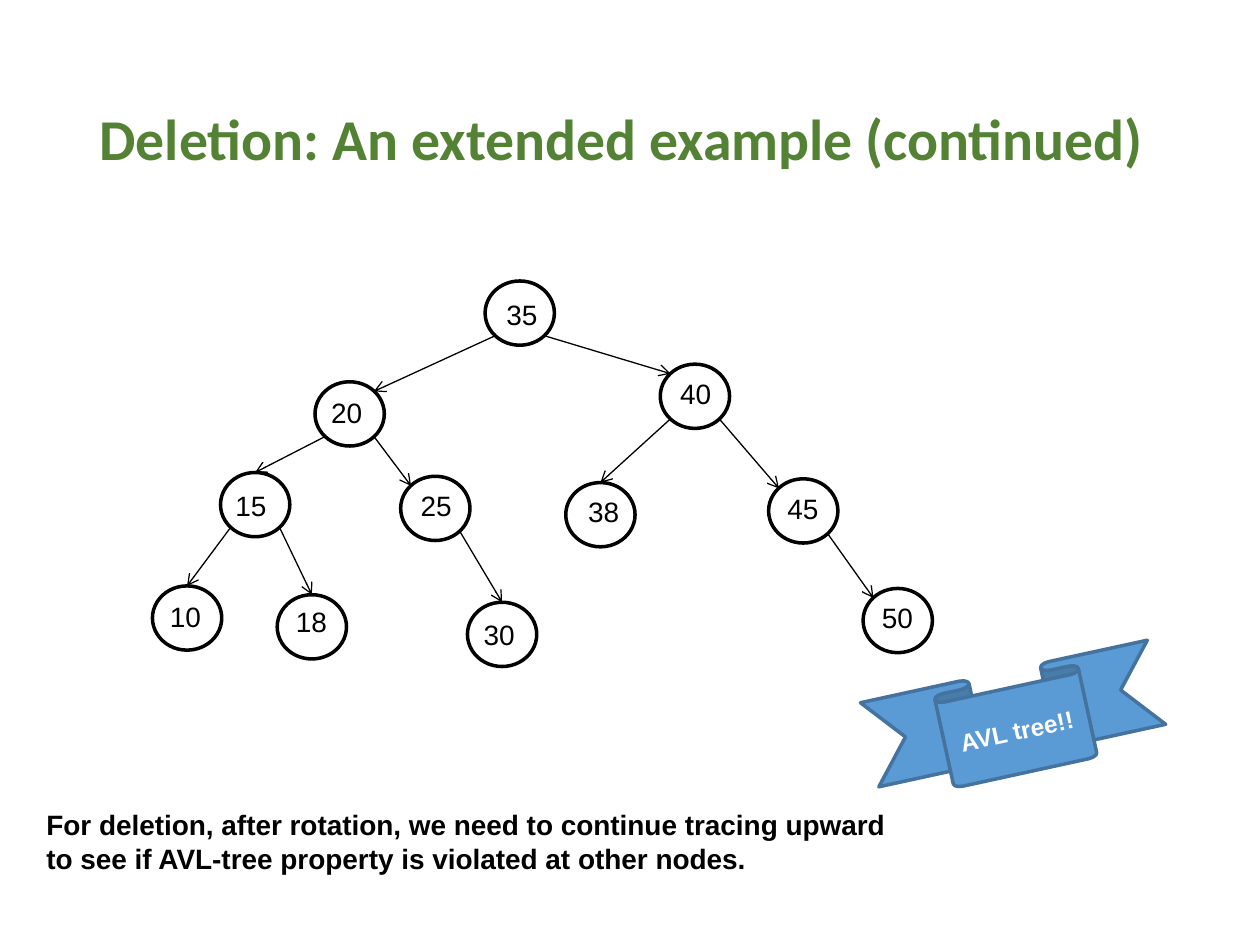
from dataclasses import dataclass

from lxml.etree import SubElement
from pptx import Presentation
from pptx.dml.color import RGBColor
from pptx.enum.shapes import MSO_CONNECTOR as Link, MSO_SHAPE as Shape
from pptx.enum.text import MSO_ANCHOR as Anchor, MSO_AUTO_SIZE as Fit, PP_ALIGN as Align
from pptx.oxml.ns import qn
from pptx.util import Inches, Pt


@dataclass(frozen=True)
class Theme:
    ink: str = "000000"
    green: str = "548235"
    blue: str = "5B9BD5"
    edge: str = "43739E"
    white: str = "FFFFFF"
    head: int = 33
    body: int = 16
    note: int = 14
    thick: float = 2
    thin: float = 0.75


THEME = Theme()
WIDE, HIGH = 0.55, 0.51
SPOTS = {"top": (0.5, 0), "NW": (0.15, 0.15), "NE": (0.85, 0.15),
         "SW": (0.15, 0.85), "SE": (0.85, 0.85)}
NODES = {
    "35": (3.85, 2.23, 0.07, 0.08),
    "40": (5.24, 2.89, 0.06, 0.05),
    "20": (2.5, 3.03, 0.03, 0.06),
    "45": (6.1, 3.8, 0.05, 0.05),
    "38": (4.49, 3.83, 0.08, 0.05),
    "50": (6.85, 4.67, 0.05, 0.05),
    "10": (1.21, 4.65, 0.04, 0.06),
    "30": (3.71, 4.78, 0.03, 0.07),
    "25": (3.18, 3.78, 0.06, 0.05),
    "15": (1.75, 3.75, 0.02, 0.08),
    "18": (2.2, 4.72, 0.05, 0.03),
}
EDGES = [
    ("35", "SW", "20", "NE"), ("35", "SE", "40", "NW"),
    ("20", "SW", "15", "top"), ("20", "SE", "25", "NW"),
    ("40", "SW", "38", "top"), ("40", "SE", "45", "NW"),
    ("15", "SW", "10", "top"), ("15", "SE", "18", "top"),
    ("25", "SE", "30", "top"), ("45", "SE", "50", "NW"),
]


def write(frame, text, size=THEME.body, color=THEME.ink, font="Arial",
          bold=False, align=Align.LEFT, space=None, anchor=Anchor.TOP):
    frame.word_wrap = True
    frame.vertical_anchor = anchor
    line = frame.paragraphs[0]
    line.alignment = align
    line.line_spacing = space
    run = line.add_run()
    run.text = text
    run.font.name = font
    run.font.size = Pt(size)
    run.font.bold = bold
    run.font.color.rgb = RGBColor.from_string(color)


def add_text(slide, box, text, **style):
    frame = slide.shapes.add_textbox(*map(Inches, box)).text_frame
    write(frame, text, **style)
    frame.auto_size = Fit.SHAPE_TO_FIT_TEXT


def add_form(slide, kind, box, line, fill=None):
    form = slide.shapes.add_shape(kind, *map(Inches, box))
    form.shadow.inherit = False
    if fill:
        form.fill.solid()
        form.fill.fore_color.rgb = RGBColor.from_string(fill)
    else:
        form.fill.background()
    form.line.color.rgb = RGBColor.from_string(line)
    form.line.width = Pt(THEME.thick)
    return form


def add_node(slide, key):
    x, y, right, down = NODES[key]
    add_form(slide, Shape.OVAL, (x, y, WIDE, HIGH), THEME.ink)
    add_text(slide, (x + right, y + down, 0.5, 0.37), key)


def spot(key, side):
    x, y = NODES[key][:2]
    across, down = SPOTS[side]
    return Inches(x + across * WIDE), Inches(y + down * HIGH)


def add_arrow(slide, start, leave, end, reach):
    arrow = slide.shapes.add_connector(
        Link.STRAIGHT, *spot(start, leave), *spot(end, reach))
    arrow.line.color.rgb = RGBColor.from_string(THEME.ink)
    arrow.line.width = Pt(THEME.thin)
    SubElement(arrow.line._get_or_add_ln(), qn("a:tailEnd"), type="arrow")
    SubElement(arrow._element.spPr, qn("a:effectLst"))


def add_title(slide, box, text):
    title = slide.shapes.title
    title.left, title.top, title.width, title.height = map(Inches, box)
    write(title.text_frame, text, size=THEME.head, color=THEME.green,
          font="Calibri", bold=True, space=0.9, anchor=Anchor.MIDDLE)
    title.text_frame.auto_size = Fit.NONE


def add_ribbon(slide, box, text):
    ribbon = add_form(slide, Shape.DOWN_RIBBON, box, THEME.edge, THEME.blue)
    ribbon.rotation = 347.7
    write(ribbon.text_frame, text, size=THEME.note, color=THEME.white,
          bold=True, align=Align.CENTER, anchor=Anchor.MIDDLE)


def main():
    deck = Presentation()
    deck.slide_width, deck.slide_height = Inches(10), Inches(7.5)
    slide = deck.slides.add_slide(deck.slide_layouts[5])
    add_title(slide, (0.69, 0.4, 8.62, 1.45),
              "Deletion: An extended example (continued)")
    for key in NODES:
        add_node(slide, key)
    for edge in EDGES:
        add_arrow(slide, *edge)
    add_text(slide, (0.27, 6.36, 6.86, 0.64),
             "For deletion, after rotation, we need to continue tracing upward "
             "to see if AVL-tree property is violated at other nodes.", bold=True)
    add_ribbon(slide, (6.89, 5.32, 2.33, 0.82), "AVL tree!!")
    deck.save("out.pptx")


if __name__ == "__main__":
    main()
